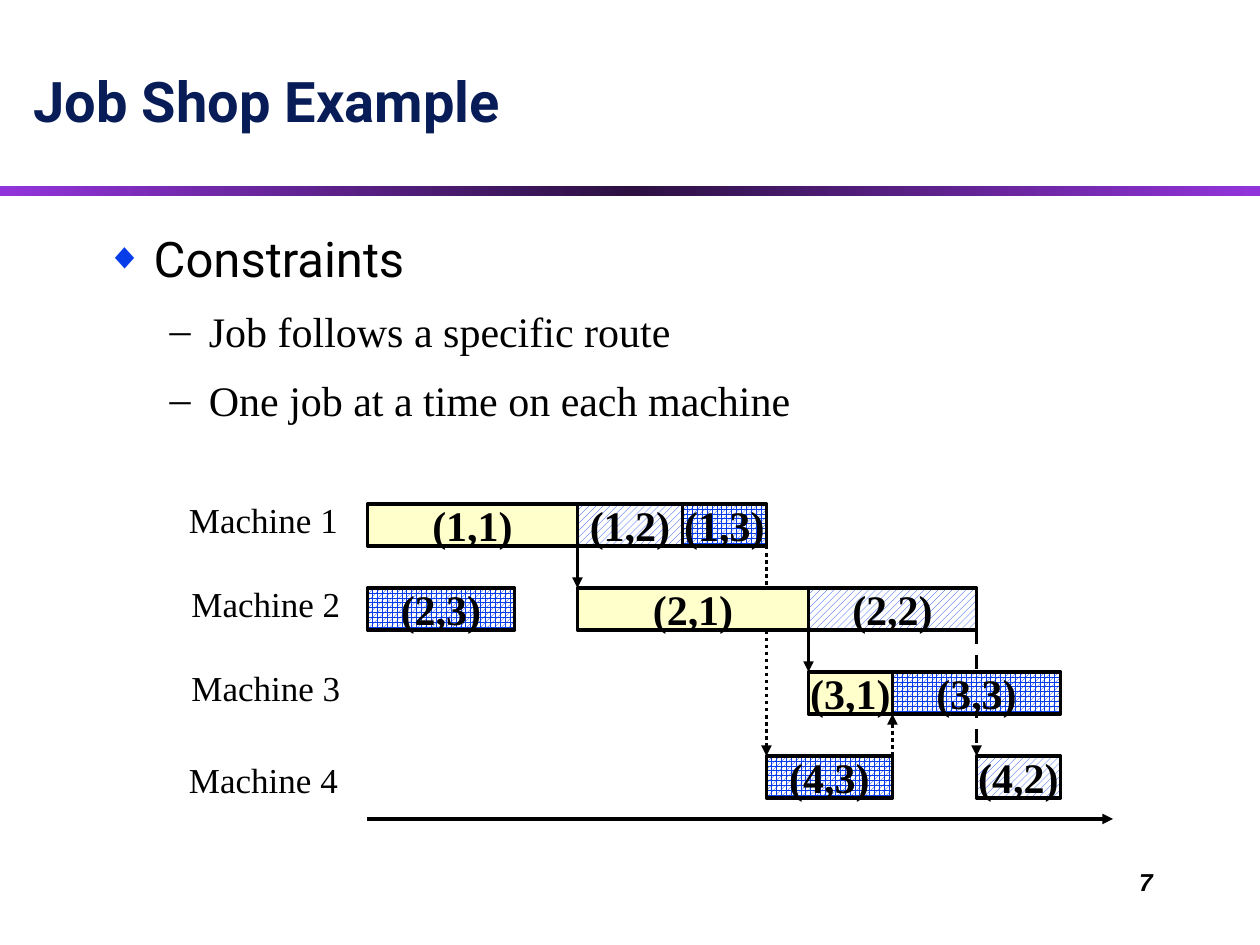
from copy import deepcopy
from lxml.etree import SubElement
from pptx import Presentation
from pptx.dml.color import RGBColor
from pptx.enum.dml import MSO_LINE, MSO_PATTERN
from pptx.enum.shapes import MSO_CONNECTOR, MSO_SHAPE
from pptx.enum.text import MSO_ANCHOR, PP_ALIGN
from pptx.oxml.ns import qn
from pptx.util import Cm, Pt

COLORS = {
    "text": "000000", "title": "081D58", "blue": "063DE8", "paper": "FFFFFF",
    "cream": "FFFFCC", "violet": "9234DB", "plum": "2C1042",
}
RGB = {name: RGBColor.from_string(value) for name, value in COLORS.items()}
SERIF = "Times New Roman"
UNIT = 2.54 / 6
CHART_LEFT = 17.5 * UNIT
CHART_TOP = 24 * UNIT
ROW_STEP = 4

prs = Presentation()
prs.slide_width, prs.slide_height = Cm(25.4), Cm(19.05)
slide = prs.slides.add_slide(prs.slide_layouts[6])
shapes = slide.shapes


def write(paragraph, text, size, face, color="text", bold=False):
    paragraph.add_run().text = text
    font = paragraph.font
    font.size, font.name, font.bold = Pt(size), face, bold
    font.color.rgb = RGB[color]


def add_arrow(x1, y1, x2, y2, dash=None):
    arrow = shapes.add_connector(
        MSO_CONNECTOR.STRAIGHT,
        Cm(CHART_LEFT + x1 * UNIT), Cm(CHART_TOP + y1 * UNIT),
        Cm(CHART_LEFT + x2 * UNIT), Cm(CHART_TOP + y2 * UNIT))
    arrow.line.width = Pt(2)
    arrow.line.color.rgb = RGB["text"]
    if dash:
        arrow.line.dash_style = dash
    properties = arrow._element.spPr
    SubElement(properties.find(qn("a:ln")), qn("a:tailEnd"), type="triangle")
    SubElement(properties, qn("a:effectLst"))


divider = shapes.add_shape(MSO_SHAPE.RECTANGLE, 0, Cm(3.76), prs.slide_width, Cm(0.2))
divider.shadow.inherit = False
divider.line.fill.background()
divider.fill.gradient()
divider.fill.gradient_angle = 0
first_stop = divider.fill._fill._gradFill.find(qn("a:gsLst"))[0]
first_stop.addnext(deepcopy(first_stop))
for stop, position, color in zip(
        divider.fill.gradient_stops, (0, 0.5, 1), ("violet", "plum", "violet")):
    stop.position = position
    stop.color.rgb = RGB[color]

page_number = shapes.add_textbox(Cm(18.21), Cm(17.35), Cm(5.28), Cm(1.27)).text_frame
page_number.word_wrap = True
write(page_number.paragraphs[0], "7", 14, "Arial", bold=True)
page_number.paragraphs[0].font.italic = True
page_number.paragraphs[0].alignment = PP_ALIGN.RIGHT

title = shapes.add_textbox(Cm(0.43), Cm(1.07), Cm(24.41), Cm(1.75)).text_frame
title.word_wrap = True
title.vertical_anchor = MSO_ANCHOR.BOTTOM
write(title.paragraphs[0], "Job Shop Example", 32, "Roboto", "title", True)

body = shapes.add_textbox(Cm(1.9), Cm(4.24), Cm(21.59), Cm(4.45)).text_frame
body.word_wrap = True
constraints = [
    ("Constraints", 0, 28, "Roboto", "◆", "blue", 75, 0.95, 0.95),
    ("Job follows a specific route", 1, 24, SERIF, "–", "text", 100, 2.06, 0.79),
    ("One job at a time on each machine", 1, 24, SERIF, "–", "text", 100, 2.06, 0.79),
]
for index, (text, level, size, face, bullet, color, scale, margin, hang) in enumerate(constraints):
    paragraph = body.add_paragraph() if index else body.paragraphs[0]
    paragraph.level = level
    paragraph.line_spacing = 1.2
    paragraph.space_before = Pt(size * 0.2)
    properties = paragraph._p.get_or_add_pPr()
    properties.set("marL", str(Cm(margin)))
    properties.set("indent", str(-Cm(hang)))
    bullet_color = SubElement(properties, qn("a:buClr"))
    SubElement(bullet_color, qn("a:srgbClr"), val=COLORS[color])
    SubElement(properties, qn("a:buSzPct"), val=str(scale * 1000))
    SubElement(properties, qn("a:buFont"), typeface=SERIF)
    SubElement(properties, qn("a:buChar"), char=bullet)
    write(paragraph, text, size, face)

add_arrow(29, 6, 29, 12, MSO_LINE.DASH)
add_arrow(19, 2, 19, 12, MSO_LINE.ROUND_DOT)

JOB_PATTERNS = {2: MSO_PATTERN.WIDE_UPWARD_DIAGONAL, 3: MSO_PATTERN.SPHERE}
operations = [
    (1, 1, 0, 10), (2, 3, 0, 7), (3, 1, 21, 4), (4, 3, 19, 6), (1, 2, 10, 5),
    (1, 3, 15, 4), (2, 1, 10, 11), (2, 2, 21, 8), (4, 2, 29, 4), (3, 3, 25, 8),
]
for machine, job, start, duration in operations:
    operation = shapes.add_shape(
        MSO_SHAPE.RECTANGLE,
        Cm(CHART_LEFT + start * UNIT),
        Cm(CHART_TOP + (machine - 1) * ROW_STEP * UNIT),
        Cm(duration * UNIT), Cm(2 * UNIT))
    operation.shadow.inherit = False
    operation.line.width = Pt(2)
    operation.line.color.rgb = RGB["text"]
    if job in JOB_PATTERNS:
        operation.fill.patterned()
        operation.fill.pattern = JOB_PATTERNS[job]
        operation.fill.fore_color.rgb = RGB["blue"]
        operation.fill.back_color.rgb = RGB["paper"]
    else:
        operation.fill.solid()
        operation.fill.fore_color.rgb = RGB["cream"]
    frame = operation.text_frame
    frame.word_wrap = False
    frame.vertical_anchor = MSO_ANCHOR.MIDDLE
    frame.paragraphs[0].alignment = PP_ALIGN.CENTER
    write(frame.paragraphs[0], f"({machine},{job})", 24, SERIF, bold=True)

add_arrow(25, 12, 25, 10, MSO_LINE.ROUND_DOT)
add_arrow(10, 2, 10, 4)
add_arrow(21, 6, 21, 8)
add_arrow(0, 15, 35.5, 15)

label_places = [(3.56, 9.93), (3.61, 11.61), (3.61, 13.31), (3.56, 15.16)]
for machine, (left, top) in enumerate(label_places, start=1):
    label = shapes.add_textbox(Cm(left), Cm(top), Cm(3.5), Cm(1.09)).text_frame
    label.word_wrap = True
    label.margin_right = 0
    write(label.paragraphs[0], f"Machine {machine}", 20, SERIF)

prs.save("out.pptx")
